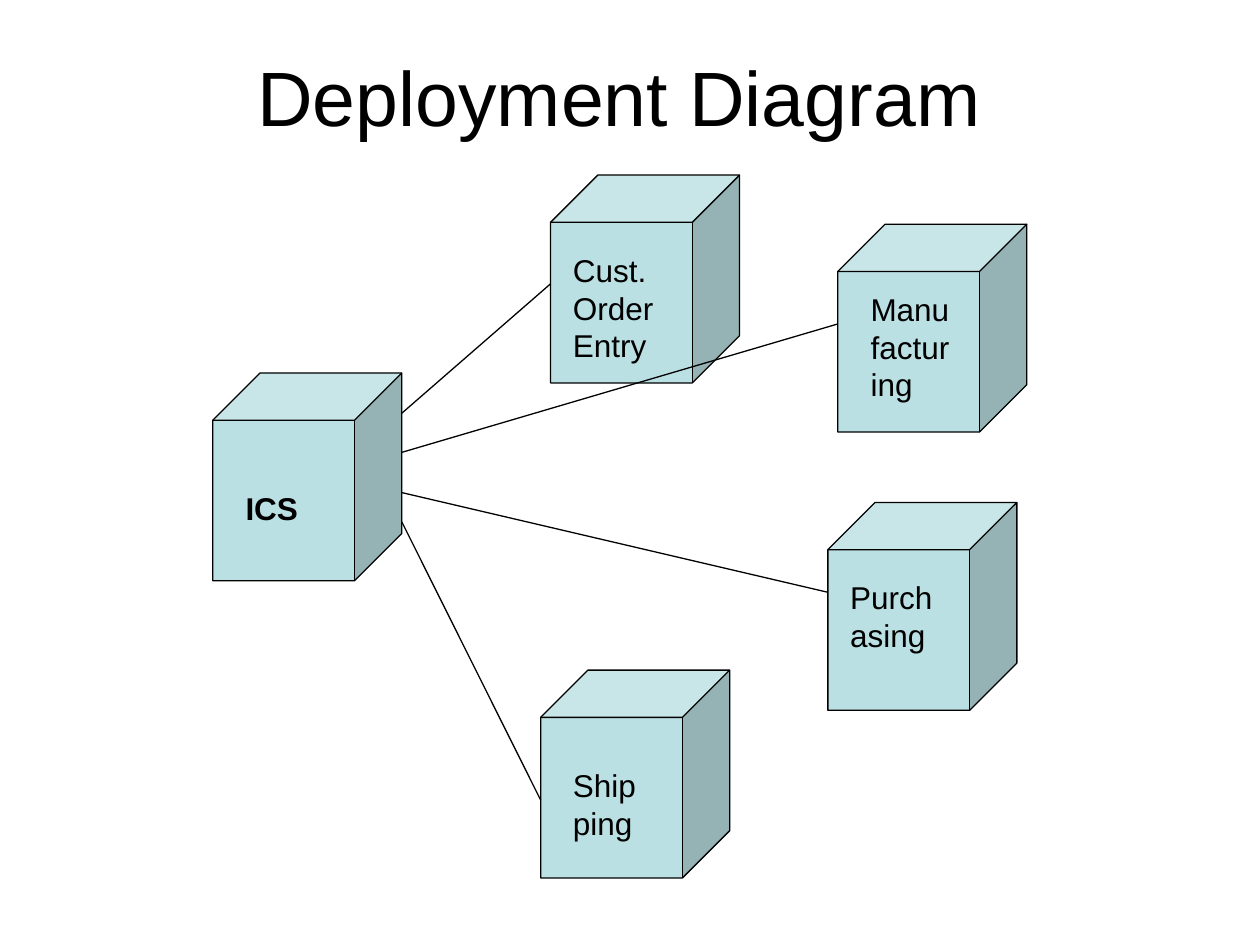
from pptx import Presentation
from pptx.dml.color import RGBColor
from pptx.enum.shapes import MSO_CONNECTOR, MSO_SHAPE
from pptx.enum.text import MSO_ANCHOR, MSO_AUTO_SIZE, PP_ALIGN
from pptx.oxml.ns import qn
from pptx.util import Cm, Pt

CUBE = MSO_SHAPE.CUBE
LINE = MSO_CONNECTOR.STRAIGHT
MIDDLE = MSO_ANCHOR.MIDDLE
GROW = MSO_AUTO_SIZE.SHAPE_TO_FIT_TEXT
LEFT, CENTER = PP_ALIGN.LEFT, PP_ALIGN.CENTER

FONT = "Arial"
BLACK = "000000"
FILL = "BBE0E3"
WIDE, HIGH = 3.81, 4.19

# Cube corner, then label text and box (left, top, width, height), in cm
HUB = (4.29, 7.52), "ICS", (4.7, 9.73, 2.59, 1.02)
NODES = [
    ((11.1, 3.53), "Cust.OrderEntry", (11.3, 4.93, 2.21, 2.54)),
    ((16.89, 4.52), "Manufacturing", (17.3, 5.72, 2.21, 2.54)),
    ((16.69, 10.13), "Purchasing", (16.89, 11.53, 2.21, 1.78)),
    ((10.9, 13.51), "Shipping", (11.3, 15.32, 2.01, 1.78)),
]
# Heights where each link leaves the hub and meets its node
LINKS = [(8.33, 5.72), (9.12, 6.53), (9.93, 11.94), (10.52, 16.13)]


def color(code):
    return RGBColor.from_string(code)


def add_text(slide, text, box, size=18, bold=False, align=LEFT):
    shape = slide.shapes.add_textbox(*map(Cm, box))
    frame = shape.text_frame
    frame.word_wrap = True
    frame.text = text
    para = frame.paragraphs[0]
    para.alignment = align
    font = para.runs[0].font
    font.name, font.size, font.bold = FONT, Pt(size), bold
    font.color.rgb = color(BLACK)
    return frame


def add_label(slide, text, box, bold=False):
    frame = add_text(slide, text, box, bold=bold)
    frame.auto_size = GROW
    frame.paragraphs[0].space_before = Pt(11.2)


def add_cube(slide, left, top):
    cube = slide.shapes.add_shape(CUBE, Cm(left), Cm(top), Cm(WIDE), Cm(HIGH))
    cube.adjustments[0] = 0.25
    cube.shadow.inherit = False
    cube.fill.solid()
    cube.fill.fore_color.rgb = color(FILL)
    cube.line.color.rgb = color(BLACK)
    cube.line.width = Pt(0.75)


def add_link(slide, start, end):
    link = slide.shapes.add_connector(LINE, *map(Cm, start + end))
    link.line.color.rgb = color(BLACK)
    link.line.width = Pt(0.75)
    props = link._element.spPr
    props.append(props.makeelement(qn("a:effectLst"), {}))


def main():
    deck = Presentation()
    deck.slide_width, deck.slide_height = Cm(25.4), Cm(19.05)
    slide = deck.slides.add_slide(deck.slide_layouts[6])

    # Title
    title = add_text(slide, "Deployment Diagram ", (1.27, 0.76, 22.86, 2.36),
                     size=44, align=CENTER)
    title.vertical_anchor = MIDDLE

    # Cubes
    for corner, _, _ in [HUB] + NODES:
        add_cube(slide, *corner)

    # Links from the hub's right edge to each node's left edge
    edge = HUB[0][0] + WIDE
    for (corner, _, _), (start, end) in zip(NODES, LINKS):
        add_link(slide, (edge, start), (corner[0], end))

    # Labels
    add_label(slide, *HUB[1:], bold=True)
    for _, text, box in NODES:
        add_label(slide, text, box)

    deck.save("out.pptx")


if __name__ == "__main__":
    main()
